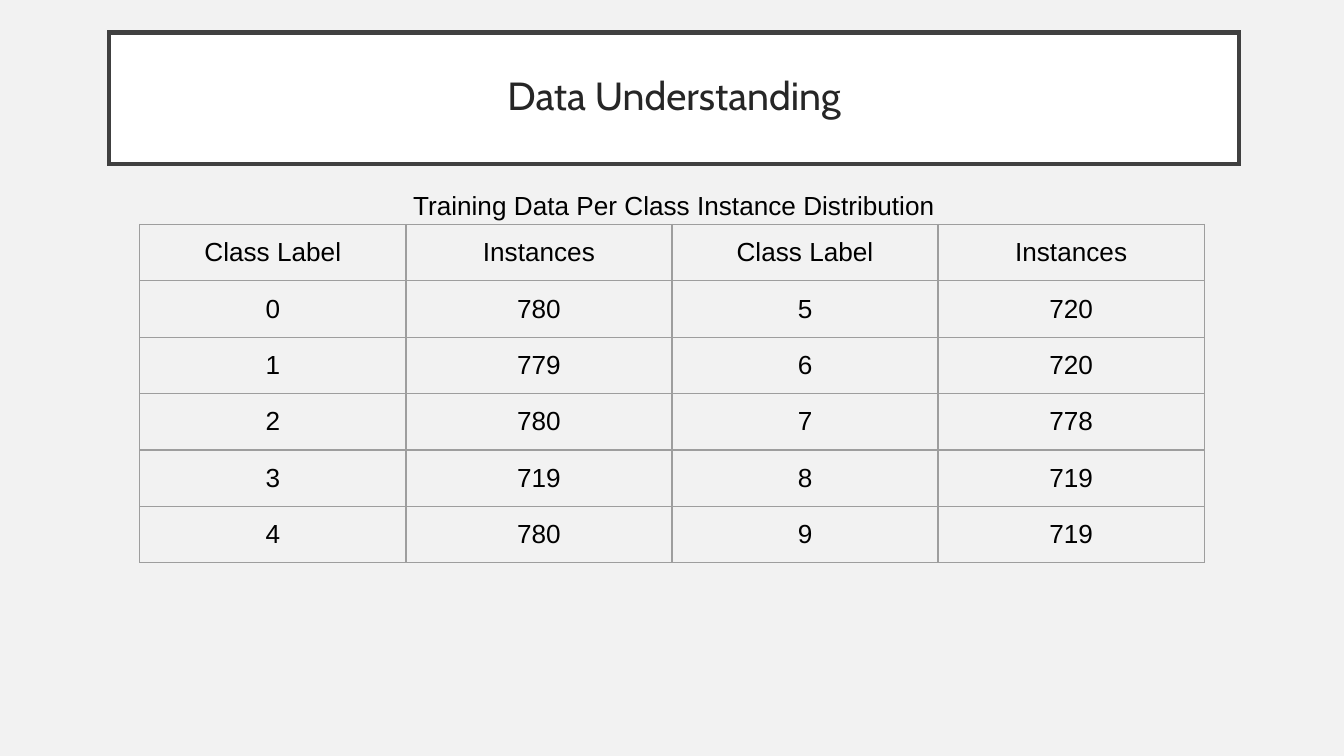
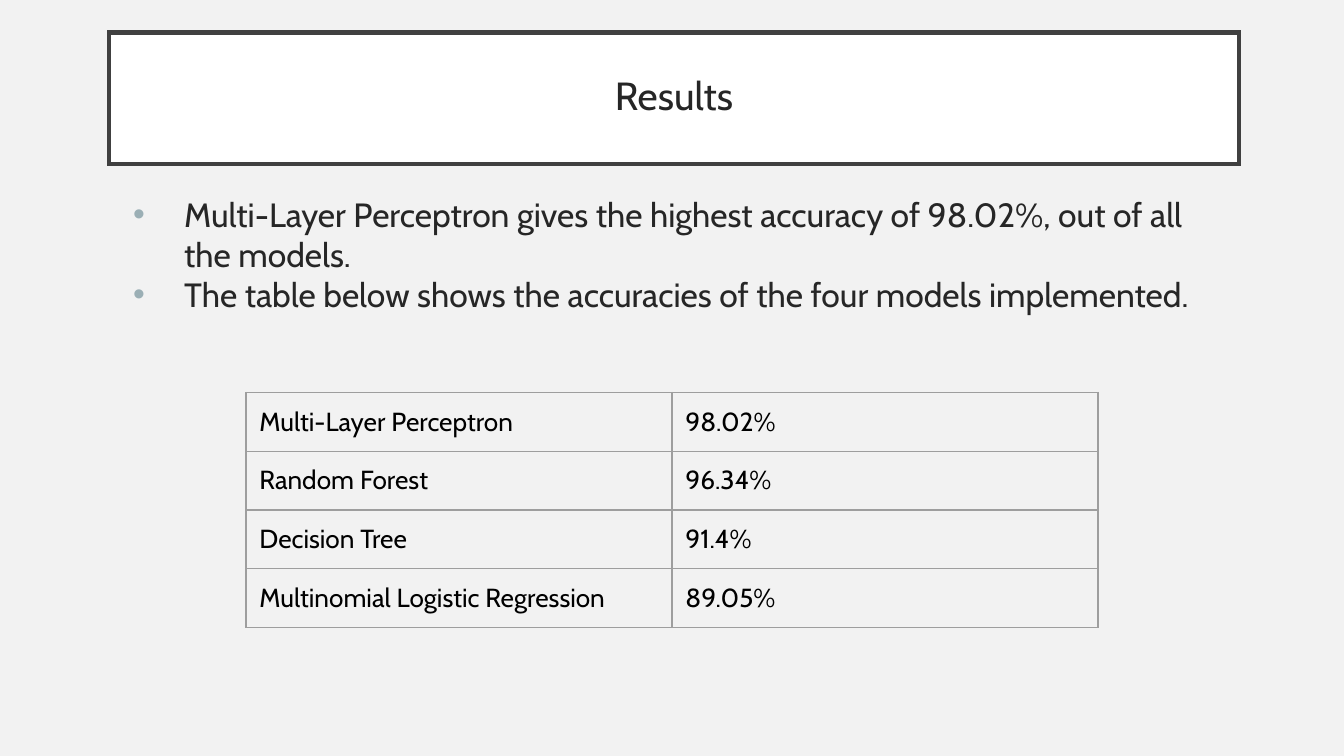
from dataclasses import dataclass

from lxml import etree
from pptx import Presentation
from pptx import util as u
from pptx.dml.color import RGBColor
from pptx.enum import text as t
from pptx.oxml import ns


@dataclass(frozen=True)
class Theme:
    page: str = "F2F2F2"
    panel: str = "FFFFFF"
    frame: str = "404040"
    ink: str = "262626"
    black: str = "000000"
    grid: str = "9E9E9E"
    bullet: str = "9BAFB5"
    head: str = "Cabin"
    plain: str = "Arial"
    title: int = 21
    body: int = 18
    cell: int = 14


@dataclass(frozen=True)
class Box:
    left: float
    top: float
    width: float
    height: float

    def place(self, shape) -> None:
        shape.left, shape.top = u.Inches(self.left), u.Inches(self.top)
        shape.width, shape.height = u.Inches(self.width), u.Inches(self.height)


@dataclass(frozen=True)
class Font:
    name: str
    size: int
    color: str


@dataclass(frozen=True)
class Grid:
    left: float
    top: float
    width: float
    height: float
    font: Font
    align: t.PP_ALIGN
    rows: list[tuple[str, ...]]


THEME = Theme()
TITLE = Font(THEME.head, THEME.title, THEME.ink)
BODY = Font(THEME.head, THEME.body, THEME.ink)
PLAIN = Font(THEME.plain, THEME.cell, THEME.black)
MODEL = Font(THEME.head, THEME.cell, THEME.black)

TITLE_BOX = Box(0.81, 0.24, 8.41, 0.98)
CAPTION_BOX = Box(0.81, 1.31, 8.41, 0.36)
BODY_BOX = Box(0.79, 1.36, 8.41, 4.17)

CLASSES = Grid(1.04, 1.67, 1.98, 0.42, PLAIN, t.PP_ALIGN.CENTER, [
    ("Class Label", "Instances") * 2,
    ("0", "780", "5", "720"),
    ("1", "779", "6", "720"),
    ("2", "780", "7", "778"),
    ("3", "719", "8", "719"),
    ("4", "780", "9", "719"),
])
MODELS = Grid(1.83, 2.92, 3.17, 0.43, MODEL, t.PP_ALIGN.LEFT, [
    ("Multi-Layer Perceptron", "98.02%"),
    ("Random Forest", "96.34%"),
    ("Decision Tree", "91.4%"),
    ("Multinomial Logistic Regression", "89.05%"),
])
POINTS = [
    "Multi-Layer Perceptron gives the highest accuracy of 98.02%, out of all the models.",
    "The table below shows the accuracies of the four models implemented.",
]


def rgb(color: str) -> RGBColor:
    return RGBColor.from_string(color)


def write(para, words: str, font: Font, align=t.PP_ALIGN.LEFT) -> None:
    para.alignment = align
    run = para.add_run()
    run.text = words
    run.font.name = font.name
    run.font.size = u.Pt(font.size)
    run.font.color.rgb = rgb(font.color)


def inset(item, size: float) -> None:
    """Set equal margins on a text frame or a cell."""
    item.margin_left = item.margin_right = u.Inches(size)
    item.margin_top = item.margin_bottom = u.Inches(size)


def set_frame(shape, margin: float, anchor: t.MSO_ANCHOR):
    frame = shape.text_frame
    frame.word_wrap = True
    frame.auto_size = t.MSO_AUTO_SIZE.NONE
    frame.vertical_anchor = anchor
    inset(frame, margin)
    return frame


def add_title(slide, words: str) -> None:
    shape = slide.shapes.title
    TITLE_BOX.place(shape)
    shape.fill.solid()
    shape.fill.fore_color.rgb = rgb(THEME.panel)
    shape.line.color.rgb = rgb(THEME.frame)
    shape.line.width = u.Pt(2.5)
    line = shape._element.spPr.find(ns.qn("a:ln"))
    etree.SubElement(line, ns.qn("a:miter"), lim="800000")
    para = set_frame(shape, 0.15, t.MSO_ANCHOR.MIDDLE).paragraphs[0]
    para.line_spacing = 0.9
    write(para, words, TITLE, t.PP_ALIGN.CENTER)


def add_caption(slide, words: str) -> None:
    shape = slide.shapes.add_textbox(0, 0, 0, 0)
    CAPTION_BOX.place(shape)
    frame = set_frame(shape, 0.1, t.MSO_ANCHOR.TOP)
    write(frame.paragraphs[0], words, PLAIN, t.PP_ALIGN.CENTER)


def set_bullet(para) -> None:
    props = para._p.get_or_add_pPr()
    props.set("marL", str(u.Inches(0.5)))
    props.set("indent", str(u.Inches(-0.38)))
    tint = etree.SubElement(props, ns.qn("a:buClr"))
    etree.SubElement(tint, ns.qn("a:srgbClr"), val=THEME.bullet)
    etree.SubElement(props, ns.qn("a:buFont"), typeface=THEME.plain)
    etree.SubElement(props, ns.qn("a:buChar"), char="•")


def add_points(slide, points: list[str]) -> None:
    shape = slide.placeholders[1]
    BODY_BOX.place(shape)
    frame = set_frame(shape, 0.08, t.MSO_ANCHOR.TOP)
    for n, words in enumerate(points):
        para = frame.add_paragraph() if n else frame.paragraphs[0]
        para.space_before = u.Pt(0)
        para.line_spacing = 1.0
        set_bullet(para)
        write(para, words, BODY)


def set_border(cell) -> None:
    props = cell._tc.get_or_add_tcPr()
    for side in ("lnL", "lnR", "lnT", "lnB"):
        line = etree.SubElement(props, ns.qn(f"a:{side}"), w=str(u.Pt(0.75)))
        fill = etree.SubElement(line, ns.qn("a:solidFill"))
        etree.SubElement(fill, ns.qn("a:srgbClr"), val=THEME.grid)


def add_grid(slide, grid: Grid) -> None:
    high, wide = len(grid.rows), len(grid.rows[0])
    table = slide.shapes.add_table(
        high, wide, u.Inches(grid.left), u.Inches(grid.top),
        u.Inches(grid.width * wide), u.Inches(grid.height * high)).table
    table.first_row = table.horz_banding = False
    for r, row in enumerate(grid.rows):
        for c, words in enumerate(row):
            cell = table.cell(r, c)
            inset(cell, 0.1)
            set_border(cell)
            cell.fill.background()
            write(cell.text_frame.paragraphs[0], words, grid.font, grid.align)


def main() -> None:
    deck = Presentation()
    deck.slide_width = u.Inches(10)
    deck.slide_height = deck.slide_width * 9 // 16
    back = deck.slide_master.background.fill
    back.solid()
    back.fore_color.rgb = rgb(THEME.page)

    data = deck.slides.add_slide(deck.slide_layouts.get_by_name("Title Only"))
    add_title(data, "Data Understanding")
    add_grid(data, CLASSES)
    add_caption(data, "Training Data Per Class Instance Distribution")

    results = deck.slides.add_slide(deck.slide_layouts.get_by_name("Title and Content"))
    add_title(results, "Results")
    add_points(results, POINTS)
    add_grid(results, MODELS)

    deck.save("out.pptx")


if __name__ == "__main__":
    main()
